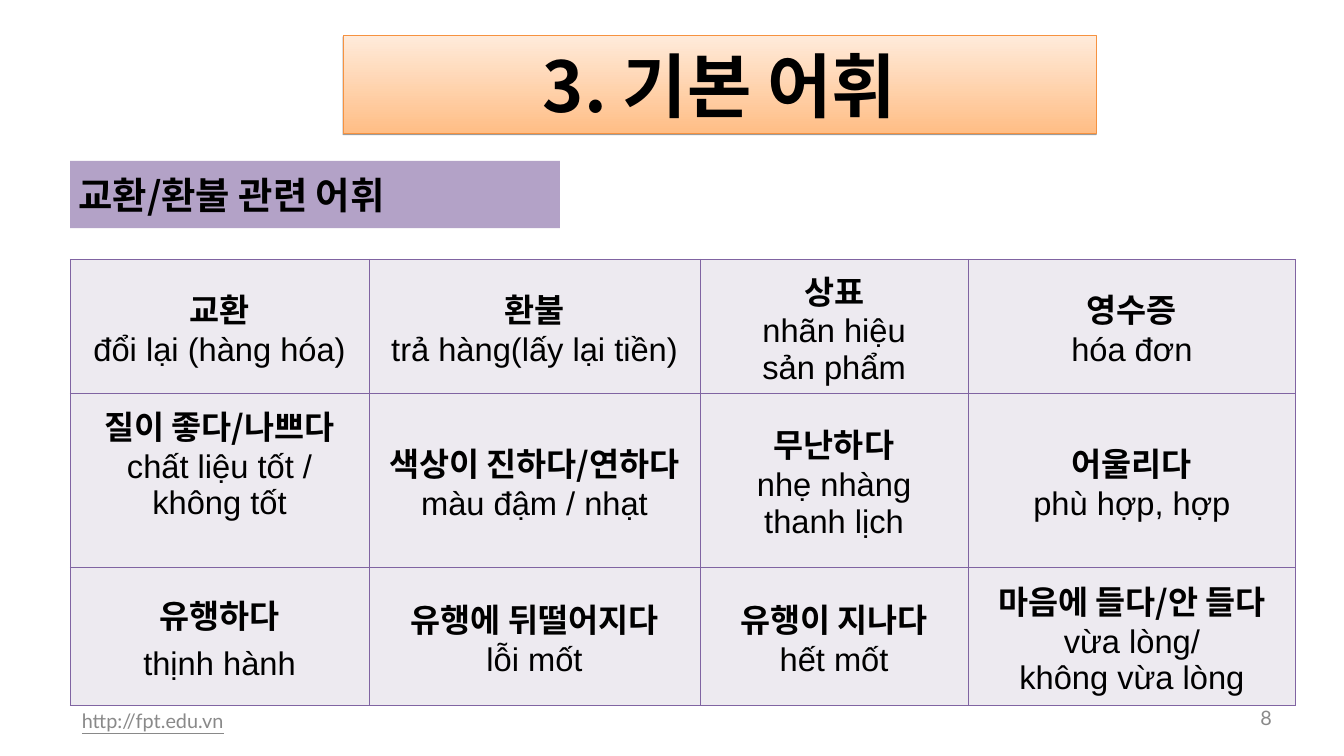
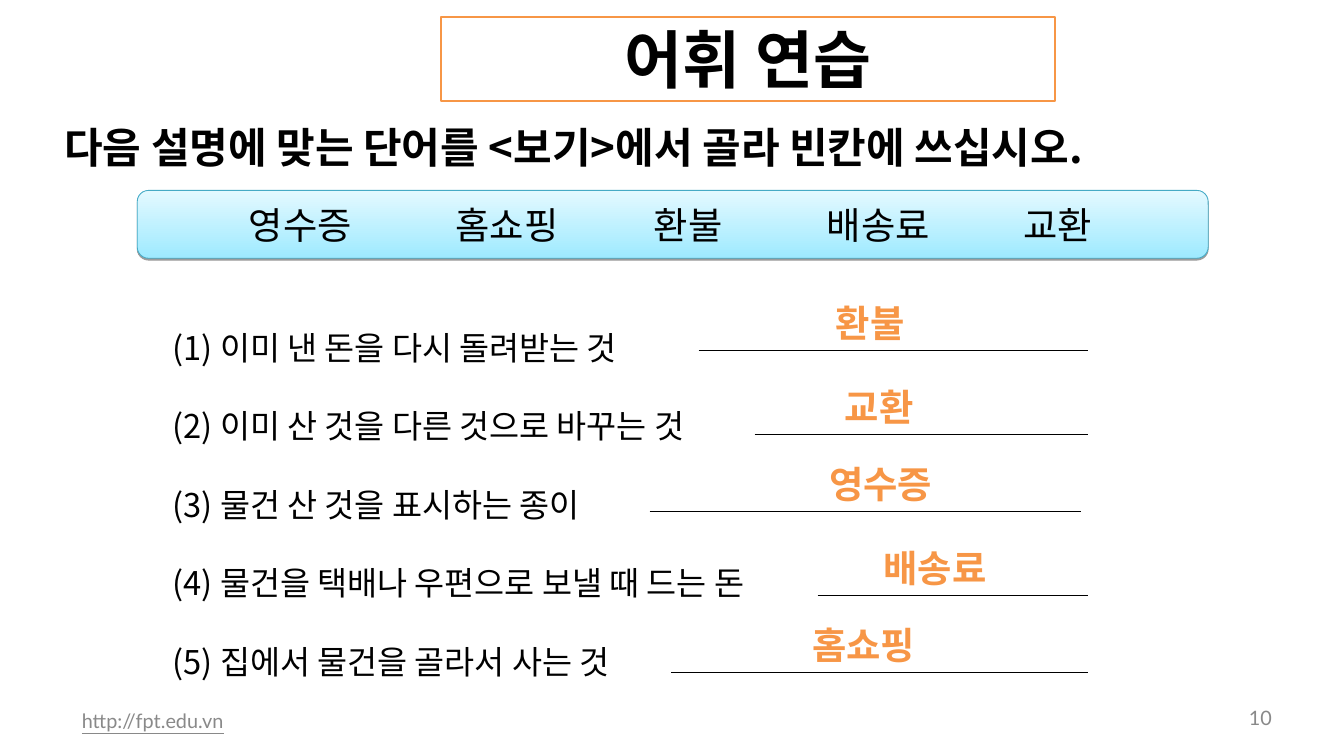
from lxml import etree
from pptx import Presentation
from pptx import util as u
from pptx.dml.color import RGBColor
from pptx.enum import shapes, text
from pptx.oxml import parse_xml
from pptx.oxml.ns import nsdecls, qn

COLOURS = {
    "ink": "000000", "paper": "FFFFFF", "muted": "898989", "orange": "F79646",
    "title_edge": "F69240", "title_low": "FFBE86", "title_high": "FFEBDB",
    "band": "B3A2C7", "cell": "EDEAF0", "rule": "8064A2",
    "bank_edge": "46AAC5", "bank_low": "9EEAFF", "bank_high": "E4F9FF",
}
RGB = {name: RGBColor.from_string(value) for name, value in COLOURS.items()}
KOREAN, LATIN, FOOTER = "Noto Sans CJK KR", "Arial", "Lato"
LEFT, CENTER, RIGHT = text.PP_ALIGN.LEFT, text.PP_ALIGN.CENTER, text.PP_ALIGN.RIGHT
TOP, MIDDLE = text.MSO_ANCHOR.TOP, text.MSO_ANCHOR.MIDDLE
RECT, ROUND = shapes.MSO_SHAPE.RECTANGLE, shapes.MSO_SHAPE.ROUNDED_RECTANGLE

# The slide is a grid of 96 columns by 54 rows of square units.
UNIT = u.Inches(16) // 96

deck = Presentation()
deck.slide_width, deck.slide_height = 96 * UNIT, 54 * UNIT


def style(para, size, colour="ink", font=KOREAN, bold=False, align=LEFT):
    """Format a paragraph and its runs, for Latin and Korean letters alike."""
    para.alignment = align
    for span in para.runs:
        span.font.size, span.font.bold, span.font.name = u.Pt(size), bold, font
        span.font.color.rgb = RGB[colour]
        east = etree.SubElement(span.font._element, qn("a:ea"))
        east.set("typeface", font)


def add_box(page, area, words, size, kind=None, fill=None, line=None, width=0.75,
            anchor=TOP, insets=(0.1, 0.05), **look):
    """Add a text box, or a preset shape with text; two fill colours make a raised gradient."""
    place = [round(length * UNIT) for length in area]
    if kind is None:
        box = page.shapes.add_textbox(*place)
    else:
        box = page.shapes.add_shape(kind, *place)
        box.shadow.inherit = False
        if isinstance(fill, tuple):
            box.fill.gradient()
            box.fill.gradient_angle = 90
            for stop, name in zip(box.fill.gradient_stops, fill):
                stop.color.rgb = RGB[name]
            box._element.spPr.find(qn("a:effectLst")).append(parse_xml(
                f'<a:outerShdw {nsdecls("a")} dist="20320" dir="5400000" rotWithShape="0">'
                '<a:srgbClr val="000000"><a:alpha val="38000"/></a:srgbClr></a:outerShdw>'))
        else:
            box.fill.solid()
            box.fill.fore_color.rgb = RGB[fill]
        if line:
            box.line.color.rgb, box.line.width = RGB[line], u.Pt(width)
        else:
            box.line.fill.background()
    frame = box.text_frame
    frame.word_wrap, frame.vertical_anchor = True, anchor
    frame.margin_left = frame.margin_right = u.Inches(insets[0])
    frame.margin_top = frame.margin_bottom = u.Inches(insets[1])
    frame.text = words
    for para in frame.paragraphs:
        style(para, size, **look)
    return box


# Pages with their shared footer
pages = []
for number in ("8", "10"):
    page = deck.slides.add_slide(deck.slide_layouts[6])
    footer = dict(size=17, colour="muted", font=FOOTER, anchor=MIDDLE, insets=(0.14, 0.07))
    address = add_box(page, (5, 50, 30.4, 2.9), "http://fpt.edu.vn", **footer)
    address.text_frame.paragraphs[0].runs[0].font.underline = True
    add_box(page, (87, 50, 4.7, 2.45), number, align=RIGHT, **footer)
    pages.append(page)
vocabulary, practice = pages

# Vocabulary table
add_box(vocabulary, (24.5, 2.5, 53.8, 7), "3. 기본 어휘", 60, RECT,
        ("title_low", "title_high"), "title_edge", anchor=MIDDLE, bold=True, align=CENTER)
add_box(vocabulary, (5, 11.5, 35, 4.8), "교환/환불 관련 어휘", 32, RECT, "band",
        anchor=MIDDLE, insets=(0.1, 0.1), bold=True)

WORDS = [
    ["교환\nđổi lại (hàng hóa)", "환불\ntrả hàng(lấy lại tiền)",
     "상표\nnhãn hiệu\nsản phẩm", "영수증\nhóa đơn"],
    ["질이 좋다/나쁘다\nchất liệu tốt / không tốt", "색상이 진하다/연하다\nmàu đậm / nhạt",
     "무난하다\nnhẹ nhàng\nthanh lịch", "어울리다\nphù hợp, hợp"],
    ["유행하다\nthịnh hành", "유행에 뒤떨어지다\nlỗi mốt",
     "유행이 지나다\nhết mốt", "마음에 들다/안 들다\nvừa lòng/\nkhông vừa lòng"],
]
WIDTHS, HEIGHTS = (21.35, 23.65, 19.15, 23.4), (9.6, 12.4, 9.9)
table = vocabulary.shapes.add_table(
    len(HEIGHTS), len(WIDTHS), 5 * UNIT, round(18.5 * UNIT),
    round(sum(WIDTHS) * UNIT), round(sum(HEIGHTS) * UNIT)).table
for column, width in zip(table.columns, WIDTHS):
    column.width = round(width * UNIT)
for row, height, entries in zip(table.rows, HEIGHTS, WORDS):
    row.height = round(height * UNIT)
    for cell, entry in zip(row.cells, entries):
        cell.vertical_anchor = MIDDLE
        cell.fill.solid()
        cell.fill.fore_color.rgb = RGB["cell"]
        for index, side in enumerate("LRTB"):
            cell._tc.get_or_add_tcPr().insert(index, parse_xml(
                f'<a:ln{side} {nsdecls("a")} w="5715"><a:solidFill>'
                f'<a:srgbClr val="{COLOURS["rule"]}"/></a:solidFill></a:ln{side}>'))
        cell.text_frame.text = entry
        term, *meanings = cell.text_frame.paragraphs
        style(term, 28, bold=True, align=CENTER)
        for meaning in meanings:
            style(meaning, 28, font=LATIN, align=CENTER)
table.cell(1, 0).margin_bottom = u.Inches(0.5)
table.cell(2, 0).text_frame.paragraphs[1].space_before = u.Pt(7)

# Fill-in practice
add_box(practice, (4, 8.35, 83, 4.2), "다음 설명에 맞는 단어를 <보기>에서 골라 빈칸에 쓰십시오.",
        36, bold=True)
add_box(practice, (31.5, 1.2, 43.85, 6), "어휘 연습", 54, RECT, "paper", "orange", 2,
        anchor=MIDDLE, bold=True, align=CENTER)

bank = add_box(practice, (9.8, 13.6, 76.5, 4.85), "영수증\t홈쇼핑\t환불\t배송료\t교환", 32, ROUND,
               ("bank_low", "bank_high"), "bank_edge", anchor=MIDDLE)
bank.text_frame.margin_left = u.Inches(1.29)
tabs = etree.SubElement(bank.text_frame.paragraphs[0]._p.get_or_add_pPr(), qn("a:tabLst"))
for stop in (2.46, 4.82, 6.88, 9.22):
    etree.SubElement(tabs, qn("a:tab"), pos=str(u.Inches(stop)), algn="l")

QUESTIONS = [
    "이미 낸 돈을 다시 돌려받는 것", "이미 산 것을 다른 것으로 바꾸는 것", "물건 산 것을 표시하는 종이",
    "물건을 택배나 우편으로 보낼 때 드는 돈", "집에서 물건을 골라서 사는 것",
]
numbered = "\n".join(f"({n}) {question}" for n, question in enumerate(QUESTIONS, 1))
questions = add_box(practice, (11.75, 20.3, 79.75, 28.6), numbered, 28)
for para in questions.text_frame.paragraphs:
    para.line_spacing = 2.0

# Each answer: word, left of its box, then start, end and row of its line
ANSWERS = [
    ("환불", 53.65, 49.9, 77.7, 25), ("교환", 54.3, 53.9, 77.7, 31),
    ("영수증", 54.4, 46.4, 77.2, 36.5), ("배송료", 58.3, 58.4, 77.7, 42.5),
    ("홈쇼핑", 53.2, 47.95, 77.7, 48),
]
for word, left, start, end, level in ANSWERS:
    blank = practice.shapes.add_connector(
        shapes.MSO_CONNECTOR.STRAIGHT,
        *(round(length * UNIT) for length in (start, level, end, level)))
    blank.line.color.rgb, blank.line.width = RGB["ink"], u.Pt(0.75)
    etree.SubElement(blank._element.spPr, qn("a:effectLst"))
    add_box(practice, (left, level - 3.85, 17, 3.85), word, 32,
            colour="orange", bold=True, align=CENTER)

deck.save("out.pptx")
